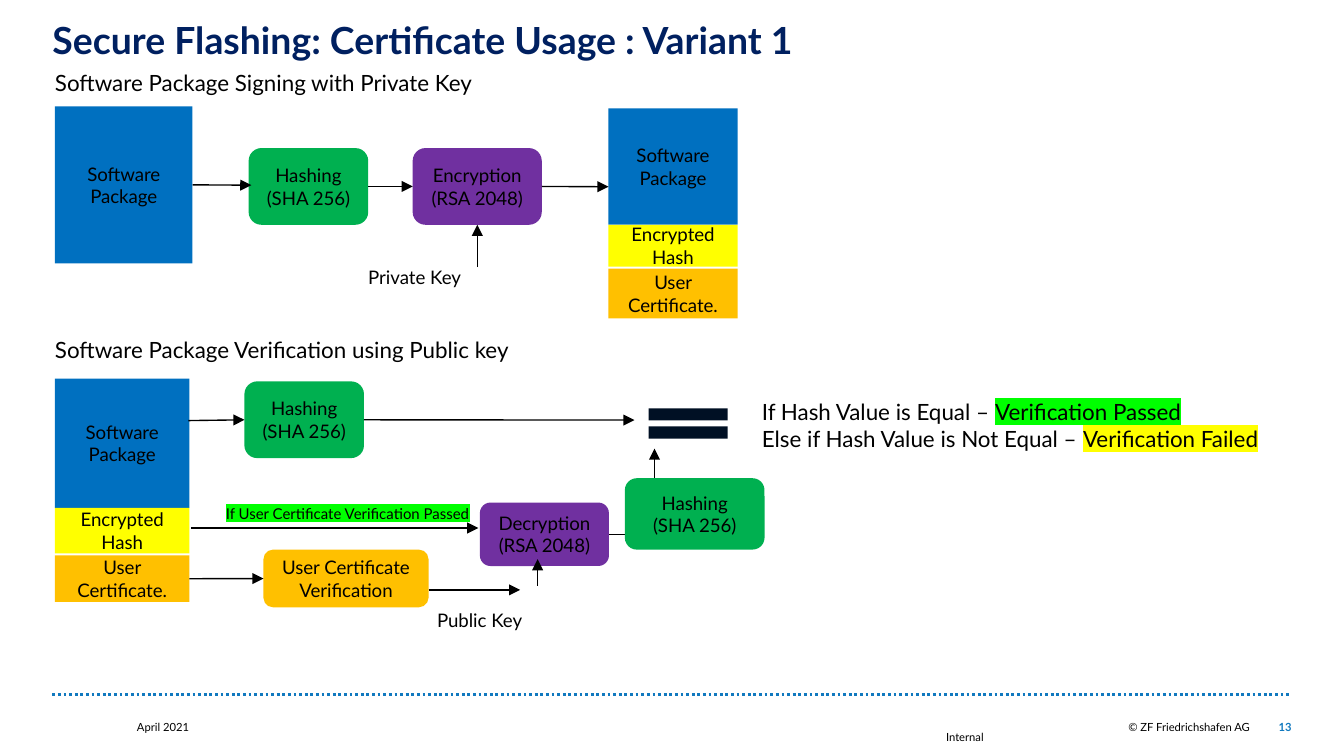
from lxml.etree import SubElement
from pptx import Presentation
from pptx.dml.color import RGBColor
from pptx.enum.dml import MSO_LINE
from pptx.enum.shapes import MSO_CONNECTOR, MSO_SHAPE
from pptx.enum.text import MSO_ANCHOR, PP_ALIGN
from pptx.oxml.ns import qn
from pptx.util import Cm, Pt

BLUE, GREEN, PURPLE = "0070C0", "00B050", "7030A0"
YELLOW, ORANGE, LIME = "FFFF00", "FFC000", "00FF00"
NAVY, ACCENT, BLACK, DARK = "002060", "1179BF", "000000", "001024"
TOP, LEFT, BOTTOM, RIGHT = range(4)
HASHING = ("Hashing", "(SHA 256)")


def rgb(value):
    return RGBColor.from_string(value)


class Diagram:
    font = "Lato"

    def __init__(self, prs):
        self.s = prs.slides.add_slide(prs.slide_layouts[5])

    def fill_text(self, tf, lines, size, color=BLACK, bold=False,
                  align=PP_ALIGN.LEFT, anchor=MSO_ANCHOR.TOP, inset=0, wrap=True):
        """Each line is a string or a list of (text, highlight) pairs."""
        tf.word_wrap = wrap
        tf.vertical_anchor = anchor
        tf.margin_left = tf.margin_right = Cm(inset)
        tf.margin_top = tf.margin_bottom = Cm(inset)
        for i, line in enumerate(lines):
            p = tf.add_paragraph() if i else tf.paragraphs[0]
            p.alignment = align
            p.line_spacing = 1.0
            for text, mark in [(line, None)] if isinstance(line, str) else line:
                r = p.add_run()
                r.text = text
                r.font.size = Pt(size)
                r.font.bold = bold
                r.font.color.rgb = rgb(color)
                if mark:
                    highlight = SubElement(r._r.get_or_add_rPr(), qn("a:highlight"))
                    SubElement(highlight, qn("a:srgbClr"), val=mark)
                r.font.name = self.font

    def title(self, text, x, y, w, h):
        sp = self.s.shapes.title
        sp.left, sp.top, sp.width, sp.height = Cm(x), Cm(y), Cm(w), Cm(h)
        self.fill_text(sp.text_frame, [text], 20, NAVY, bold=True)

    def text(self, lines, x, y, w, h, size, **style):
        sp = self.s.shapes.add_textbox(Cm(x), Cm(y), Cm(w), Cm(h))
        self.fill_text(sp.text_frame, lines, size, **style)

    def box(self, lines, x, y, w, h, fill, kind=MSO_SHAPE.ROUNDED_RECTANGLE):
        sp = self.s.shapes.add_shape(kind, Cm(x), Cm(y), Cm(w), Cm(h))
        sp.shadow.inherit = False
        sp.fill.solid()
        sp.fill.fore_color.rgb = rgb(fill)
        sp.line.fill.background()
        if lines:
            self.fill_text(sp.text_frame, lines, 10, align=PP_ALIGN.CENTER,
                           anchor=MSO_ANCHOR.MIDDLE, inset=0.25)
        return sp

    def stack(self, x, y, w, heights):
        """Signed package: software, encrypted hash and certificate."""
        parts = (("Software Package", BLUE), ("Encrypted Hash", YELLOW),
                 ("User Certificate.", ORANGE))
        boxes = []
        for (label, fill), h in zip(parts, heights):
            if fill == ORANGE:
                y += 0.04
            boxes.append(self.box([label], x, y, w, h, fill, MSO_SHAPE.RECTANGLE))
            y += h
        return boxes

    def line(self, x1, y1, x2, y2, begin=None, end=None, head=True,
             color=BLACK, width=0.75):
        c = self.s.shapes.add_connector(MSO_CONNECTOR.STRAIGHT,
                                        Cm(x1), Cm(y1), Cm(x2), Cm(y2))
        if begin:
            c.begin_connect(*begin)
        if end:
            c.end_connect(*end)
        c.line.color.rgb = rgb(color)
        c.line.width = Pt(width)
        if head:
            SubElement(c.line._get_or_add_ln(), qn("a:tailEnd"), type="triangle")
        SubElement(c._element.spPr, qn("a:effectLst"))
        return c


def main():
    prs = Presentation()
    prs.slide_width, prs.slide_height = Cm(25.4), Cm(14.29)
    d = Diagram(prs)

    # Title and footer
    d.title("Secure Flashing: Certificate Usage : Variant 1", 0.99, 0.33, 23.4, 1.65)
    d.line(0.99, 13.13, 24.41, 13.13, head=False, color=ACCENT,
           width=1.5).line.dash_style = MSO_LINE.ROUND_DOT
    middle = {"size": 6, "anchor": MSO_ANCHOR.MIDDLE}
    d.text(["April 2021"], 2.59, 13.59, 14.5, 0.3, **middle)
    d.text(["Internal"], 17.88, 13.79, 1.09, 0.28, wrap=False, **middle)
    d.text(["© ZF Friedrichshafen AG"], 21.13, 13.59, 2.49, 0.3,
           align=PP_ALIGN.RIGHT, **middle)
    d.text(["13"], 23.9, 13.59, 0.51, 0.3, color=ACCENT, bold=True,
           align=PP_ALIGN.RIGHT, **middle)

    # Signing with the private key
    d.text(["Software Package Signing with Private Key"], 1.04, 1.3, 9.2, 0.51, 12)
    package = d.box(["Software Package"], 1.04, 2.01, 2.6, 2.97, BLUE,
                    MSO_SHAPE.RECTANGLE)
    hashing = d.box(HASHING, 4.7, 2.8, 2.26, 1.45, GREEN)
    encryption = d.box(["Encryption", "(RSA 2048)"], 7.8, 2.8, 2.44, 1.45, PURPLE)
    d.stack(11.5, 2.05, 2.44, (2.2, 0.79, 0.94))
    d.text(["Private Key"], 6.96, 5.03, 3.94, 0.43, 10)
    d.line(3.64, 3.5, 4.75, 3.5, begin=(package, RIGHT))
    d.line(6.96, 3.53, 7.8, 3.53, begin=(hashing, RIGHT), end=(encryption, LEFT))
    d.line(10.24, 3.53, 11.5, 3.53, begin=(encryption, RIGHT))
    d.line(9.02, 5.05, 9.02, 4.25, end=(encryption, BOTTOM))

    # Verification with the public key
    d.text(["Software Package Verification using Public key"], 1.04, 6.35, 10.74, 0.51, 12)
    certificate = d.stack(1.04, 7.16, 2.54, (2.44, 0.86, 0.88))[2]
    hashing = d.box(HASHING, 4.62, 7.21, 2.26, 1.45, GREEN)
    decryption = d.box(["Decryption", "(RSA 2048)"], 9.07, 9.5, 2.44, 1.2, PURPLE)
    check = d.box(["User Certificate Verification"], 4.98, 10.39, 3.12, 1.09, ORANGE)
    d.text(["Public Key"], 8.26, 11.51, 3.94, 0.43, 10)
    d.text([[("If User Certificate Verification Passed", LIME)]],
           4.27, 9.53, 5.11, 0.33, 8)
    d.line(3.56, 7.95, 4.62, 7.95, end=(hashing, LEFT))
    d.line(6.88, 7.94, 11.99, 7.94, begin=(hashing, RIGHT))
    d.line(3.61, 9.98, 9.04, 9.98)
    d.line(3.58, 10.92, 4.98, 10.92, begin=(certificate, RIGHT), end=(check, LEFT))
    d.line(8.1, 11.15, 9.83, 11.15)
    d.line(10.16, 11.07, 10.16, 10.57)
    d.line(11.51, 10.1, 12.37, 10.1, begin=(decryption, RIGHT), head=False)
    d.line(12.37, 10.13, 12.37, 8.48)
    d.box(HASHING, 11.81, 9.04, 2.64, 1.35, GREEN)

    # Comparison and result
    d.box([], 11.99, 7.52, 2.03, 0.97, DARK, MSO_SHAPE.MATH_EQUAL)
    d.text([[("If Hash Value is Equal – ", None), ("Verification Passed", LIME)],
            [("Else if Hash Value is Not Equal – ", None),
             ("Verification Failed", YELLOW)]], 14.4, 7.52, 10.74, 1.02, 12)

    prs.save("out.pptx")


if __name__ == "__main__":
    main()
